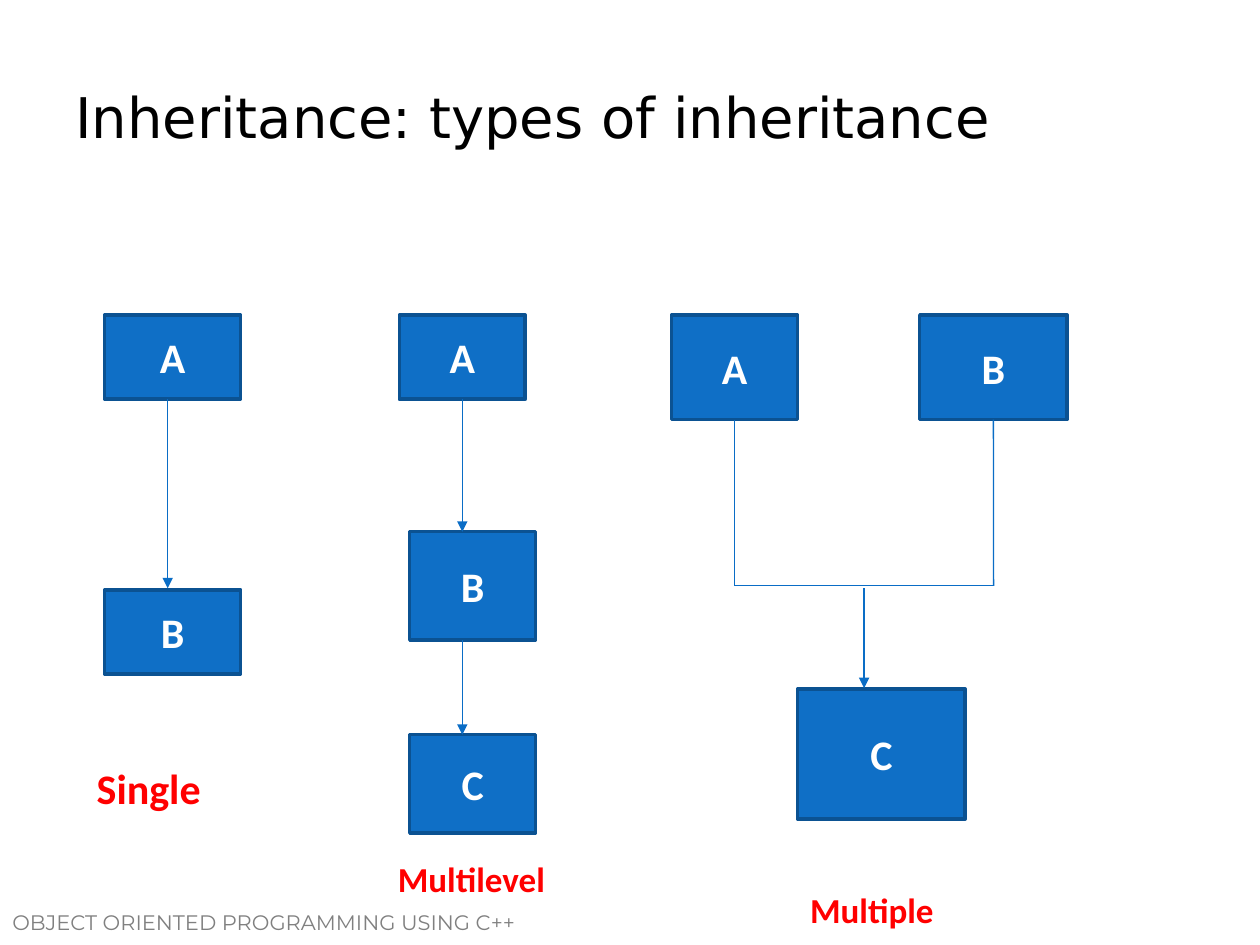
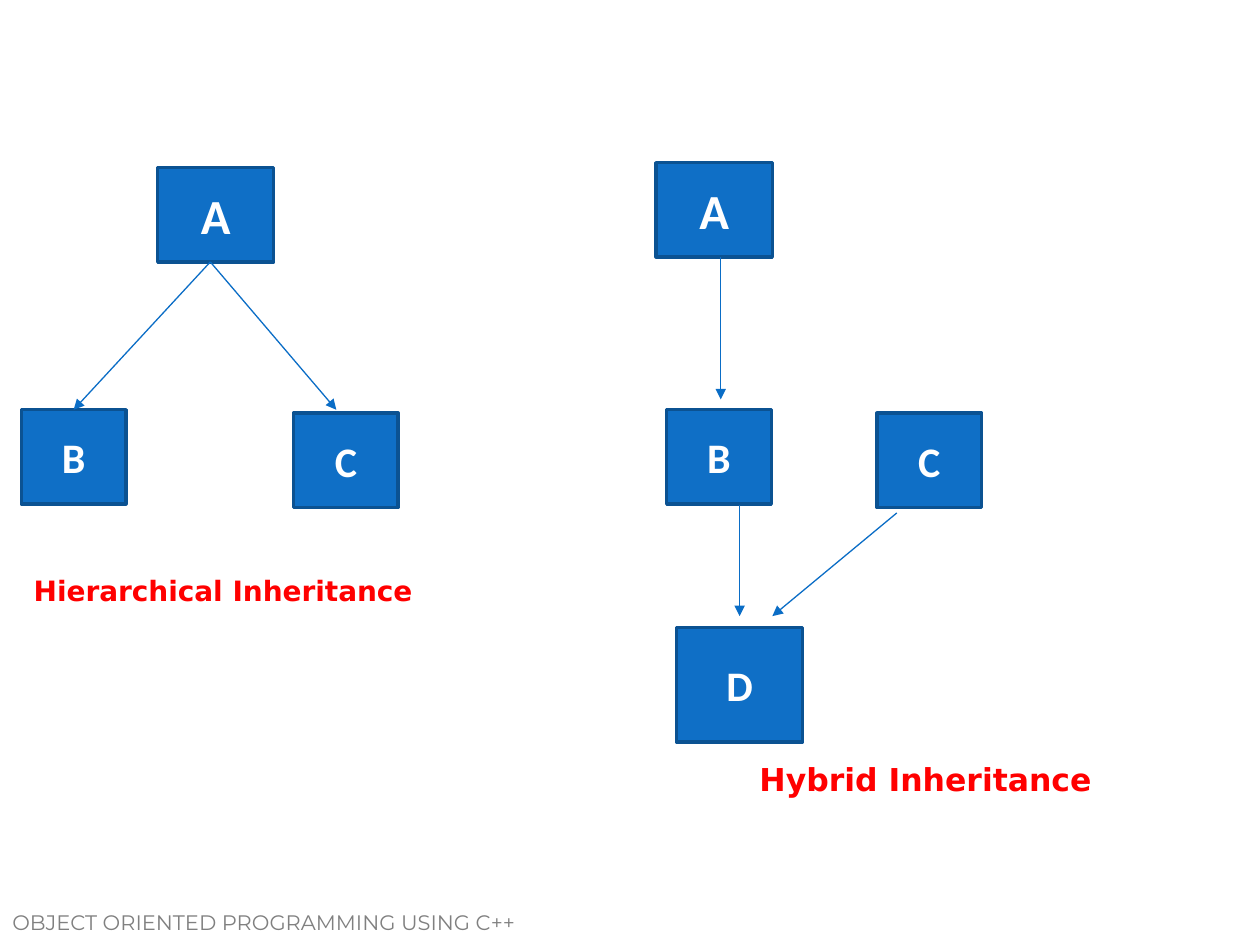
from lxml.etree import SubElement
from pptx import Presentation
from pptx.dml.color import RGBColor
from pptx.enum.shapes import MSO_CONNECTOR, MSO_SHAPE
from pptx.enum.text import MSO_ANCHOR, PP_ALIGN
from pptx.oxml.ns import qn
from pptx.util import Cm, Pt

BLACK = RGBColor(0x00, 0x00, 0x00)
WHITE = RGBColor(0xFF, 0xFF, 0xFF)
GREY = RGBColor(0x80, 0x80, 0x80)
RED = RGBColor(0xFF, 0x00, 0x00)
BOX_FILL = RGBColor(0x0F, 0x6F, 0xC6)
BOX_EDGE = RGBColor(0x0B, 0x52, 0x92)
ARROW_BLUE = RGBColor(0x0A, 0x6D, 0xC6)

BODY_FONT = "Calibri"
TITLE_FONT = "DejaVu Sans"
FOOTER_FONT = "Montserrat"
FOOTER = "OBJECT ORIENTED PROGRAMMING USING C++"

TOP, BOTTOM = 0, 2


def write(shape, text, font, size, color, bold=False):
    para = shape.text_frame.paragraphs[0]
    para.text = text
    para.font.name = font
    para.font.size = Pt(size)
    para.font.color.rgb = color
    para.font.bold = bold
    return para


def add_text(page, text, place, font, size, color, bold=False, wrap=True):
    box = page.shapes.add_textbox(*map(Cm, place))
    box.text_frame.word_wrap = wrap
    write(box, text, font, size, color, bold)
    return box


def add_label(page, text, place, size, font=BODY_FONT, wrap=False):
    add_text(page, text, place, font, size, RED, bold=True, wrap=wrap)


def add_title(page, text):
    box = add_text(page, text, (1.27, 0.76, 22.86, 3.18), TITLE_FONT, 32, BLACK)
    box.text_frame.vertical_anchor = MSO_ANCHOR.MIDDLE


def add_class(page, name, left, top, width, height, size=24):
    box = page.shapes.add_shape(
        MSO_SHAPE.RECTANGLE, Cm(left), Cm(top), Cm(width), Cm(height))
    box.shadow.inherit = False
    box.fill.solid()
    box.fill.fore_color.rgb = BOX_FILL
    box.line.color.rgb = BOX_EDGE
    box.line.width = Pt(2)
    box.text_frame.vertical_anchor = MSO_ANCHOR.MIDDLE
    para = write(box, name, BODY_FONT, size, WHITE, bold=True)
    para.alignment = PP_ALIGN.CENTER
    return box


def add_line(page, start, end, parent=None, child=None):
    line = page.shapes.add_connector(
        MSO_CONNECTOR.STRAIGHT, *map(Cm, (*start, *end)))
    line.line.color.rgb = ARROW_BLUE
    line.line.width = Pt(0.75)
    SubElement(line._element.spPr, qn("a:effectLst"))
    if parent is not None:
        line.begin_connect(parent, BOTTOM)
    if child is not None:
        line.end_connect(child, TOP)
    return line


def add_arrow(page, start, end, parent=None, child=None):
    arrow = add_line(page, start, end, parent, child)
    SubElement(arrow.line._get_or_add_ln(), qn("a:tailEnd"), type="triangle")


def add_page(deck):
    page = deck.slides.add_slide(deck.slide_layouts[6])
    add_text(page, FOOTER, (0, 18.21, 12.7, 1.07), FOOTER_FONT, 12, GREY)
    return page


def draw_single(page):
    for name, top in (("A", 6.35), ("B", 11.89)):
        add_class(page, name, 2.11, top, 2.74, 1.7)
    add_arrow(page, (3.38, 8.05), (3.38, 11.86))
    add_label(page, "Single", (1.7, 15.24, 2.64, 1.27), 24)


def draw_multilevel(page):
    base = add_class(page, "A", 8.05, 6.35, 2.54, 1.7)
    add_class(page, "B", 8.26, 10.72, 2.54, 2.18)
    add_class(page, "C", 8.26, 14.81, 2.54, 1.98)
    add_arrow(page, (9.32, 8.05), (9.32, 10.72), parent=base)
    add_arrow(page, (9.32, 12.9), (9.32, 14.81))
    add_label(page, "Multilevel", (7.77, 17.17, 3.51, 1.12), 20)


def draw_multiple(page):
    left_x, right_x, join_y = 14.81, 20.03, 11.81
    middle_x = (left_x + right_x) / 2
    first = add_class(page, "A", 13.54, 6.35, 2.54, 2.11)
    second = add_class(page, "B", 18.54, 6.35, 2.97, 2.11)
    add_class(page, "C", 16.08, 13.89, 3.38, 2.62)
    for parent, x in ((first, left_x), (second, right_x)):
        add_line(page, (x, 8.46), (x, join_y), parent=parent)
    add_line(page, (left_x, join_y), (right_x, join_y))
    add_arrow(page, (middle_x, 11.86), (middle_x, 13.87))
    add_label(page, "Multiple", (16.08, 17.78, 3.02, 1.12), 20)


def draw_hierarchical(page):
    fork = (4.24, 5.28)
    add_class(page, "A", 3.18, 3.38, 2.34, 1.9, size=28)
    left_child = add_class(page, "B", 0.43, 8.26, 2.11, 1.9)
    add_class(page, "C", 5.92, 8.33, 2.11, 1.9)
    add_arrow(page, fork, (1.48, 8.26), child=left_child)
    add_arrow(page, fork, (6.78, 8.26))
    add_label(page, "Hierarchical Inheritance", (0.43, 11.43, 8.89, 1.7), 16,
              TITLE_FONT, wrap=True)


def draw_hybrid(page):
    add_class(page, "A", 13.23, 3.28, 2.34, 1.9, size=28)
    add_class(page, "B", 13.44, 8.26, 2.11, 1.9)
    add_class(page, "C", 17.68, 8.33, 2.11, 1.9)
    add_class(page, "D", 13.64, 12.65, 2.54, 2.31)
    add_arrow(page, (14.53, 5.18), (14.53, 8.05))
    add_arrow(page, (14.91, 10.19), (14.91, 12.42))
    add_arrow(page, (18.08, 10.34), (15.57, 12.42))
    add_label(page, "Hybrid Inheritance", (15.06, 15.19, 7.34, 1.8), 18, TITLE_FONT)


def main():
    deck = Presentation()
    deck.slide_width, deck.slide_height = Cm(25.4), Cm(19.05)

    page = add_page(deck)
    add_title(page, "Inheritance: types of inheritance")
    draw_single(page)
    draw_multilevel(page)
    draw_multiple(page)

    page = add_page(deck)
    draw_hierarchical(page)
    draw_hybrid(page)

    deck.save("out.pptx")


if __name__ == "__main__":
    main()
